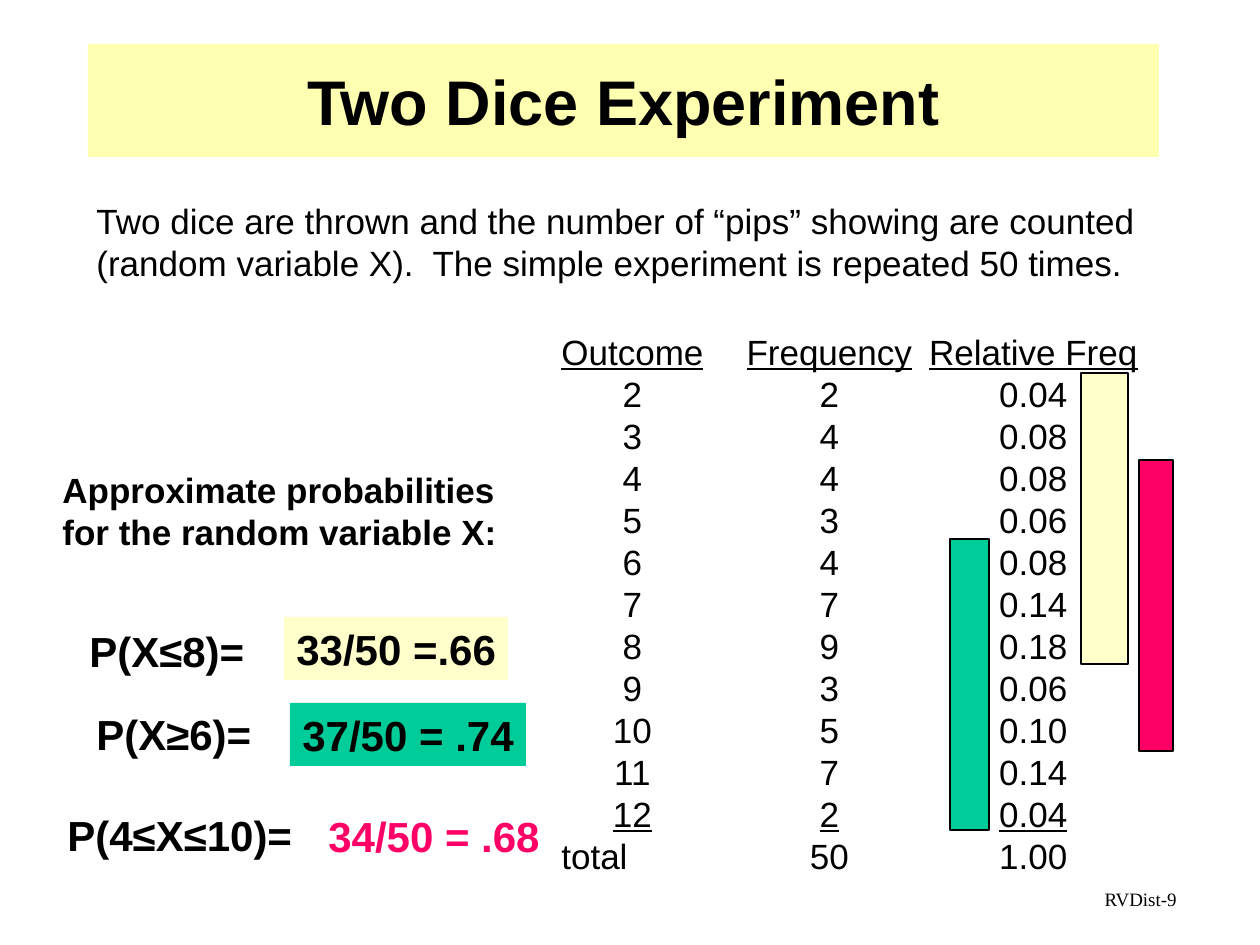
from pptx import Presentation
from pptx.dml.color import RGBColor
from pptx.enum.shapes import MSO_SHAPE as Shape
from pptx.enum.text import MSO_ANCHOR as Anchor, PP_ALIGN as Align
from pptx.oxml.ns import qn
from pptx.util import Emu, Inches, Pt
from lxml.etree import SubElement

PX = Inches(1) / 126
BLACK = RGBColor(0, 0, 0)
YELLOW = RGBColor(0xFF, 0xFF, 0x66)
CREAM = RGBColor(0xFF, 0xFF, 0xCC)
GREEN = RGBColor(0x00, 0xCC, 0x99)
PINK = RGBColor(0xFF, 0x00, 0x66)

TRIALS = 50
FREQUENCIES = {2: 2, 3: 4, 4: 4, 5: 3, 6: 4, 7: 7, 8: 9, 9: 3, 10: 5, 11: 7, 12: 2}
COLUMN_CENTRES = (71, 268, 472)
BAR_HEIGHT = 291

# label, its left and top; result, its box; bar left, top and width; fill, result colour
PROBABILITIES = (
    ("P(X≤8)=", 77, 619, "33/50 =.66", (284, 617, 224, 63), (1081, 373, 47), CREAM, BLACK),
    ("P(X≥6)=", 84, 702, "37/50 = .74", (290, 703, 236, 63), (950, 539, 39), GREEN, BLACK),
    ("P(4≤X≤10)=", 55, 803, "34/50 = .68", (316, 804, 237, 63), (1139, 460, 34), PINK, PINK),
)


def px(*lengths):
    return [Emu(round(length * PX)) for length in lengths]


def style_text(box, text, size, bold=False, color=BLACK, align=Align.LEFT,
               wrap=True, anchor=Anchor.TOP, font="Arial"):
    frame = box.text_frame
    frame.text = text
    frame.word_wrap = wrap
    frame.vertical_anchor = anchor
    for para in frame.paragraphs:
        para.alignment = align
        for span in para.runs:
            span.font.name = font
            span.font.size = Pt(size)
            span.font.bold = bold
            span.font.color.rgb = color
    return frame


def add_text(shapes, area, text, size, **style):
    return style_text(shapes.add_textbox(*px(*area)), text, size, **style)


def add_rectangle(shapes, area, fill, outlined=False):
    box = shapes.add_shape(Shape.RECTANGLE, *px(*area))
    box.shadow.inherit = False
    box.fill.solid()
    box.fill.fore_color.rgb = fill
    if outlined:
        box.line.color.rgb = BLACK
        box.line.width = Pt(0.75)
    else:
        box.line.fill.background()
    return box


def add_title(shapes):
    box = add_rectangle(shapes, (88, 44, 1071, 113), YELLOW)
    color = box.fill._xPr.find(qn("a:solidFill"))[0]
    SubElement(color, qn("a:alpha"), val="50000")
    style_text(box, "Two Dice Experiment", 36, bold=True,
               align=Align.CENTER, anchor=Anchor.MIDDLE)


def add_centre_tabs(para):
    tabs = SubElement(para._p.get_or_add_pPr(), qn("a:tabLst"))
    for position in px(*COLUMN_CENTRES):
        SubElement(tabs, qn("a:tab"), pos=str(position), algn="ctr")


def add_frequency_list(shapes):
    rows = ["Outcome\tFrequency\tRelative Freq"]
    rows += [f"\t{outcome}\t{count}\t{count / TRIALS:.2f}"
             for outcome, count in FREQUENCIES.items()]
    rows.append(f"total\t\t{TRIALS}\t1.00")
    frame = add_text(shapes, (549, 324, 602, 559), "\n".join(rows), 20, wrap=False)
    for para in frame.paragraphs:
        add_centre_tabs(para)
    # Underline the headings and the last row above the total
    for para in (frame.paragraphs[0], frame.paragraphs[-2]):
        para.runs[0].font.underline = True


def add_probability(shapes, label, left, top, result, result_area, bar, fill, color):
    label_width = 271 if len(label) > 8 else 190
    add_text(shapes, (left, top, label_width, 63), label, 24, bold=True, wrap=False)
    # The bar marks the outcomes that the result adds up
    group = shapes.add_group_shape().shapes
    add_rectangle(group, (*bar, BAR_HEIGHT), fill, outlined=True)
    if color == BLACK:
        style_text(add_rectangle(group, result_area, fill), result, 24,
                   bold=True, wrap=False)
    else:
        add_text(group, result_area, result, 24, bold=True, color=color, wrap=False)


def main():
    deck = Presentation()
    deck.slide_width, deck.slide_height = px(1260, 945)
    shapes = deck.slides.add_slide(deck.slide_layouts[6]).shapes

    # Title and introduction
    add_title(shapes)
    add_text(shapes, (84, 193, 1126, 97),
             "Two dice are thrown and the number of “pips” showing are counted "
             "(random variable X).  The simple experiment is repeated 50 times.", 20)

    # Outcomes
    add_frequency_list(shapes)

    # Probabilities
    add_text(shapes, (50, 462, 460, 97),
             "Approximate probabilities for the random variable X:", 20, bold=True)
    for probability in PROBABILITIES:
        add_probability(shapes, *probability)

    # Footer
    footer = add_text(shapes, (903, 886, 286, 38), "RVDist-9", 10.8,
                      align=Align.RIGHT, font="Times New Roman")
    footer.paragraphs[0].line_spacing = 0.8

    deck.save("out.pptx")


if __name__ == "__main__":
    main()
